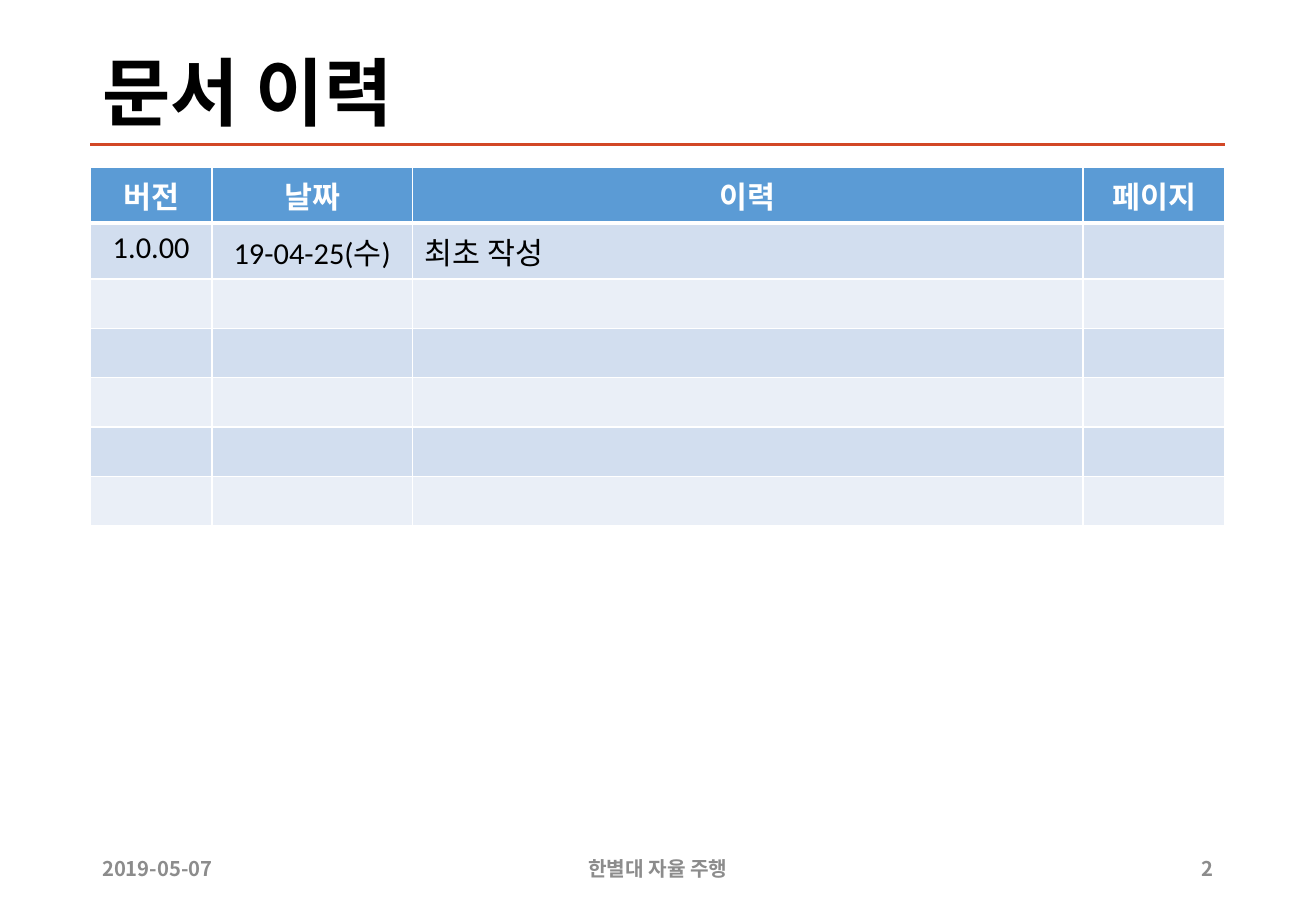
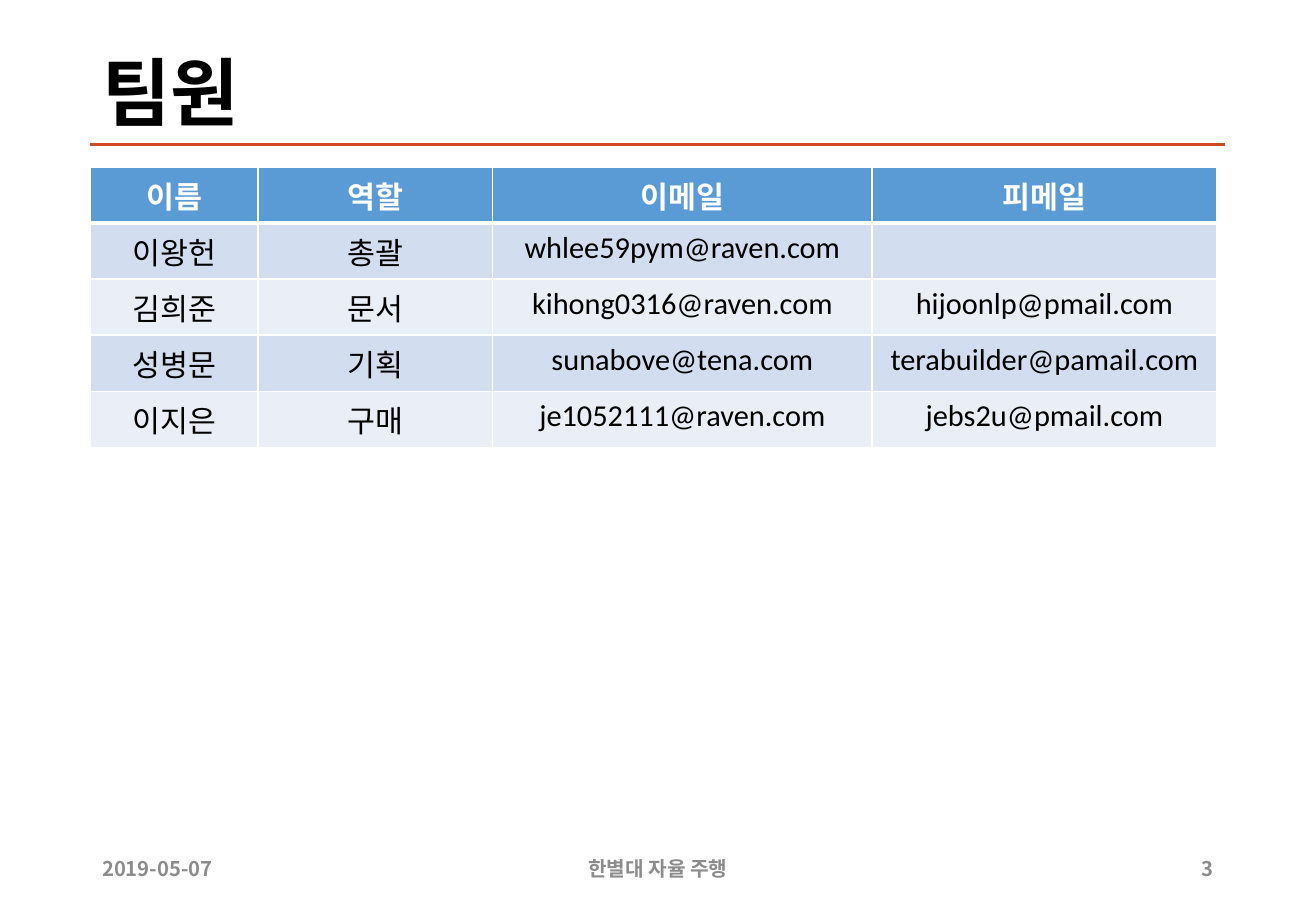
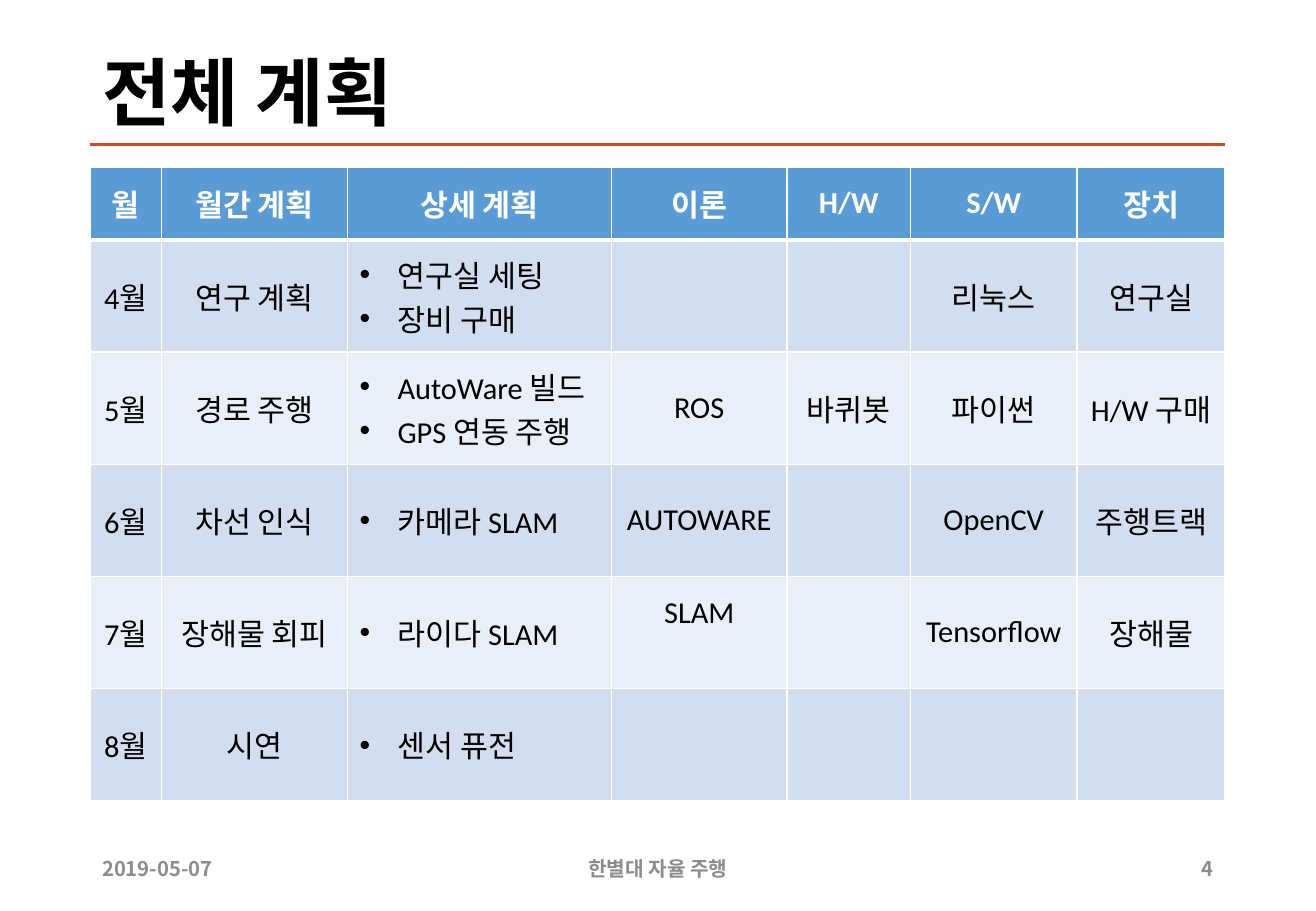
from lxml.etree import SubElement
from pptx import Presentation
from pptx.dml.color import RGBColor
from pptx.enum.shapes import MSO_CONNECTOR
from pptx.enum.text import MSO_ANCHOR as Anchor, MSO_AUTO_SIZE as AutoSize, PP_ALIGN as Align
from pptx.oxml.ns import qn
from pptx.util import Pt

LEFT = 53.5
RIGHT = 726
WIDTH = RIGHT - LEFT
TABLE_TOP = 99
EMPTY_ROW = 29.25
TEXT_ROW = 33.25
KOREAN_FONT = "Noto Sans CJK KR"
BLACK, WHITE, GREY = "000000", "FFFFFF", "8C8C8C"
RULE_COLOUR = "D24726"
HEADER_FILL = "5B9BD5"
BAND_FILLS = ("EAEFF7", "D2DEEF")

HISTORY = [
    ["버전", "날짜", "이력", "페이지"],
    ["1.0.00", "19-04-25(수)", "최초 작성", ""],
] + [[""] * 4 for _ in range(5)]

MEMBERS = [
    ["이름", "역할", "이메일", "피메일"],
    ["이왕헌", "총괄", "whlee59pym@raven.com", ""],
    ["김희준", "문서", "kihong0316@raven.com", "hijoonlp@pmail.com"],
    ["성병문", "기획", "sunabove@tena.com", "terabuilder@pamail.com"],
    ["이지은", "구매", "je1052111@raven.com", "jebs2u@pmail.com"],
]

PLAN = [
    ["월", "월간 계획", "상세 계획", "이론", "H/W", "S/W", "장치"],
    ["4월", "연구 계획", "연구실 세팅\n장비 구매", "", "", "리눅스", "연구실"],
    ["5월", "경로 주행", "AutoWare 빌드\nGPS 연동 주행", "ROS", "바퀴봇", "파이썬", "H/W 구매"],
    ["6월", "차선 인식", "카메라 SLAM", "AUTOWARE", "", "OpenCV", "주행트랙"],
    ["7월", "장해물 회피", "라이다 SLAM", "SLAM", "", "Tensorflow", "장해물"],
    ["8월", "시연", "센서 퓨전", "", "", "", ""],
]


def colour(value):
    return RGBColor.from_string(value)


def format_text(frame, size, font, text_colour, bold, align):
    for para in frame.paragraphs:
        para.alignment = align
        for span in para.runs:
            span.font.size = Pt(size)
            span.font.name = font
            span.font.bold = bold
            span.font.color.rgb = colour(text_colour)
            SubElement(span.font._element, qn("a:ea"), typeface=KOREAN_FONT)


def prepare_layout(layout):
    title = layout.placeholders[0]
    title.left, title.top = Pt(LEFT), Pt(28.5)
    title.width, title.height = Pt(WIDTH), Pt(57)


def move_rule_to_layout(page, layout):
    rule = page.shapes.add_connector(
        MSO_CONNECTOR.STRAIGHT, Pt(LEFT), Pt(85.75), Pt(RIGHT), Pt(85.75))
    rule.line.color.rgb = colour(RULE_COLOUR)
    rule.line.width = Pt(2)
    SubElement(rule.element.spPr, qn("a:effectLst"))
    layout.shapes.element.append(rule.element)


def add_footer(page, text, left, width, align):
    box = page.shapes.add_textbox(Pt(left), Pt(500.5), Pt(width), Pt(28.75))
    frame = box.text_frame
    frame.word_wrap = True
    frame.vertical_anchor = Anchor.MIDDLE
    frame.text = text
    format_text(frame, 12, KOREAN_FONT, GREY, True, align)


def add_page(deck, layout, title, number):
    page = deck.slides.add_slide(layout)
    frame = page.shapes.title.text_frame
    frame.text = title
    frame.auto_size = AutoSize.NONE
    frame.vertical_anchor = Anchor.MIDDLE
    frame.paragraphs[0].line_spacing = 0.9
    format_text(frame, 44, "Times New Roman", BLACK, True, Align.LEFT)
    add_footer(page, "2019-05-07", LEFT, 91.5, Align.LEFT)
    add_footer(page, "한별대 자율 주행", 258.25, 263.5, Align.CENTER)
    add_footer(page, str(number), RIGHT - 38, 38, Align.RIGHT)
    return page


def add_borders(cell, top, bottom):
    properties = cell._tc.get_or_add_tcPr()
    for side, width in (("L", 1), ("R", 1), ("T", top), ("B", bottom)):
        line = SubElement(properties, qn(f"a:ln{side}"), w=str(Pt(width)))
        fill = SubElement(line, qn("a:solidFill"))
        SubElement(fill, qn("a:srgbClr"), val=WHITE)


def add_bullets(frame):
    for para in frame.paragraphs:
        properties = para._p.get_or_add_pPr()
        properties.set("marL", str(Pt(22.5)))
        properties.set("indent", str(Pt(-22.5)))
        SubElement(properties, qn("a:buFont"), typeface="Arial")
        SubElement(properties, qn("a:buChar"), char="•")


def fill_cell(cell, text, row, align, anchor):
    header = row == 0
    add_borders(cell, 3 if row == 1 else 1, 3 if header else 1)
    cell.fill.solid()
    cell.fill.fore_color.rgb = colour(HEADER_FILL if header else BAND_FILLS[row % 2])
    cell.vertical_anchor = anchor
    cell.text_frame.text = text
    format_text(cell.text_frame, 18, "Calibri", WHITE if header else BLACK, header, align)


def text_heights(rows):
    return [TEXT_ROW if any(row) else EMPTY_ROW for row in rows]


def add_grid(page, rows, widths, heights, anchor=Anchor.TOP, left_column=None):
    table = page.shapes.add_table(
        len(rows), len(widths), Pt(LEFT), Pt(TABLE_TOP),
        Pt(sum(widths)), Pt(sum(heights))).table
    for column, width in zip(table.columns, widths):
        column.width = Pt(width)
    for row, (texts, height) in enumerate(zip(rows, heights)):
        table.rows[row].height = Pt(height)
        for column, text in enumerate(texts):
            align = Align.LEFT if row and column == left_column else Align.CENTER
            fill_cell(table.cell(row, column), text, row, align, anchor)
    return table


def main():
    deck = Presentation()
    deck.slide_width, deck.slide_height = Pt(780), Pt(540)
    layout = deck.slide_layouts[5]
    prepare_layout(layout)

    history_page = add_page(deck, layout, "문서 이력", 2)
    move_rule_to_layout(history_page, layout)
    add_grid(history_page, HISTORY, [72.25, 118.75, 397.5, 84.25],
             text_heights(HISTORY), left_column=2)

    members_page = add_page(deck, layout, "팀원", 3)
    add_grid(members_page, MEMBERS, [99.5, 139, 225, 204.25], text_heights(MEMBERS))

    plan_page = add_page(deck, layout, "전체 계획", 4)
    plan = add_grid(plan_page, PLAN, [42.25, 110.25, 156.5, 104, 73.25, 98.75, 87.75],
                    [43.25] + [66.5] * 5, Anchor.MIDDLE, left_column=2)
    for row in range(1, len(PLAN)):
        add_bullets(plan.cell(row, 2).text_frame)
    plan.cell(4, 3).margin_bottom = Pt(26)

    deck.save("out.pptx")


if __name__ == "__main__":
    main()
